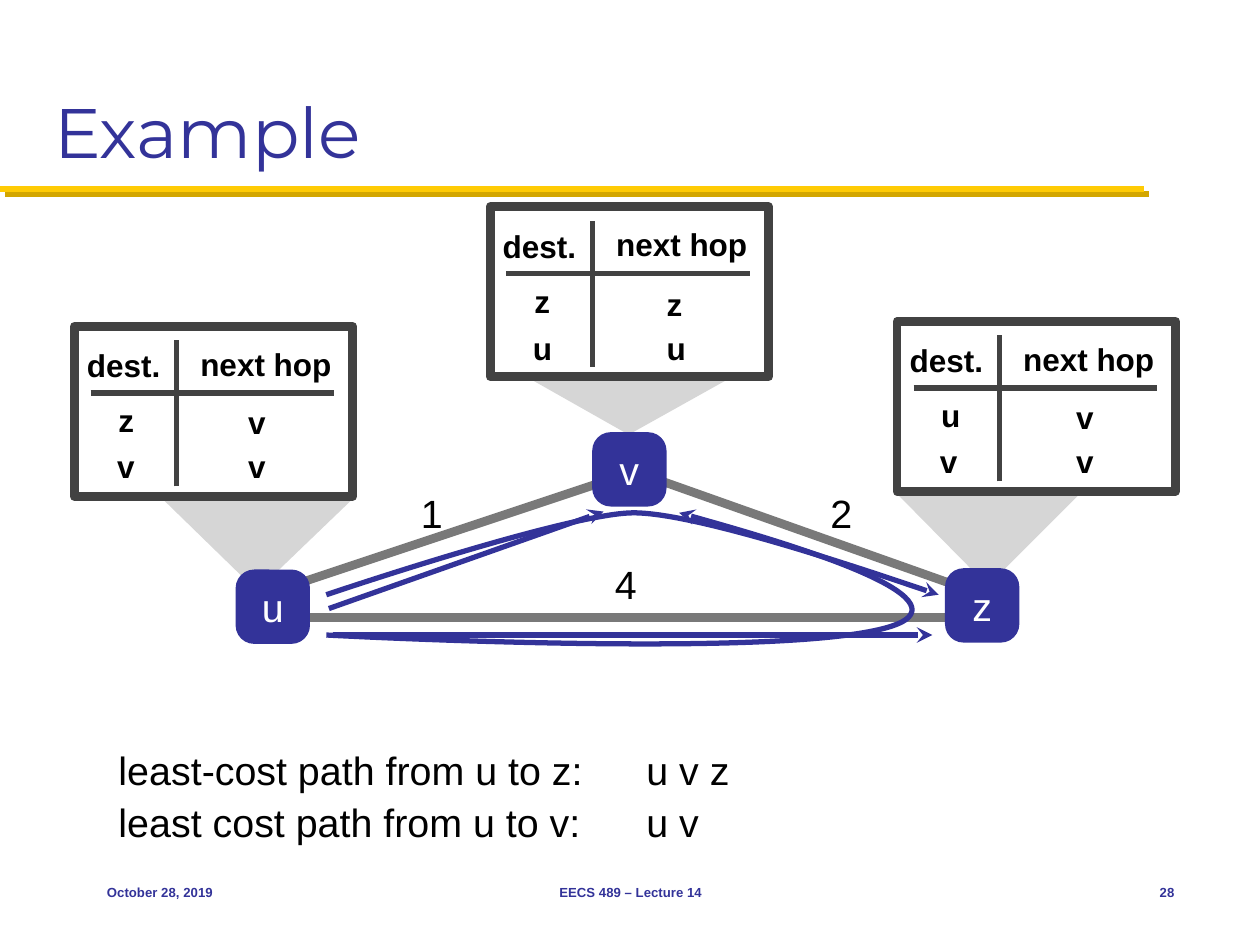
from dataclasses import dataclass
from typing import Any

import pptx
import pptx.dml.color
import pptx.enum.shapes
import pptx.enum.text
import pptx.oxml
import pptx.oxml.ns
import pptx.util

EMU_PER_PX = 9144
INDIGO, BLACK, WHITE = "333399", "000000", "FFFFFF"
CHARCOAL, GRAY, LIGHT_GRAY = "424242", "797979", "D6D6D6"
GOLD, DARK_GOLD = "FFCB05", "D3A600"
ALIGN = pptx.enum.text.PP_ALIGN
ANCHOR = pptx.enum.text.MSO_ANCHOR
SHAPE = pptx.enum.shapes.MSO_SHAPE
Point = tuple[int, int]
Box = tuple[int, int, int, int]


@dataclass
class Router:
    name: str
    left: int
    top: int


@dataclass
class ForwardingTable:
    left: int
    top: int
    rows: tuple[tuple[str, str], tuple[str, str]]
    hop_left: int
    hop_top: int
    pointer_left: int
    pointer_top: int
    pointer_width: int
    pointer_height: int


@dataclass
class Line:
    start: Point
    end: Point


@dataclass
class Curve:
    points: list[Point]
    width: int
    height: int


@dataclass
class Label:
    text: str
    box: Box


@dataclass
class Footer:
    text: str
    box: Box
    align: Any


ROUTERS = [Router("v", 470, 343), Router("u", 187, 452), Router("z", 750, 451)]
TABLES = [
    ForwardingTable(389, 164, (("z", "z"), ("u", "u")), 136, 52, 423, 302, 153, 43),
    ForwardingTable(59, 259, (("z", "v"), ("v", "v")), 134, 50, 128, 395, 153, 74),
    ForwardingTable(712, 255, (("u", "v"), ("v", "v")), 138, 50, 712, 392, 145, 73),
]
LINKS = [
    Line((486, 380), (234, 464)),
    Line((241, 490), (773, 490)),
    Line((520, 380), (774, 470)),
]
ROUTES = [Line((264, 504), (740, 504)), Line((261, 483), (479, 406))]
CURVED_ROUTES = [
    Curve([(259, 472), (259, 472), (451, 407), (503, 407),
           (555, 407), (745, 472), (745, 472)], 486, 65),
    Curve([(259, 504), (259, 504), (684, 527), (721, 490),
           (747, 464), (539, 407), (539, 407)], 465, 104),
]
LABELS = [
    Label("4", (484, 440, 29, 46)),
    Label("1", (330, 384, 29, 46)),
    Label("2", (655, 384, 29, 46)),
    Label("least-cost path from u to z:", (90, 588, 405, 46)),
    Label("u v z", (509, 588, 90, 46)),
    Label("least cost path from u to v:", (90, 629, 405, 46)),
    Label("u v", (509, 629, 59, 46)),
]
FOOTERS = [
    Footer("October 28, 2019", (75, 683, 208, 50), ALIGN.LEFT),
    Footer("EECS 489 – Lecture 14", (342, 683, 317, 50), ALIGN.CENTER),
    Footer("28", (875, 683, 67, 50), ALIGN.RIGHT),
]


def px(length: int) -> pptx.util.Emu:
    return pptx.util.Emu(length * EMU_PER_PX)


def rgb(color: str) -> pptx.dml.color.RGBColor:
    return pptx.dml.color.RGBColor.from_string(color)


def write(shape: Any, text: str, size: float, color: str = BLACK, *, bold: bool = False,
          align: Any = ALIGN.LEFT, font: str = "Arial", anchor: Any = ANCHOR.MIDDLE,
          margins: Point = (4, 4), wrap: bool = True) -> None:
    frame = shape.text_frame
    frame.text = text
    frame.word_wrap = wrap
    frame.auto_size = pptx.enum.text.MSO_AUTO_SIZE.NONE
    frame.vertical_anchor = anchor
    frame.margin_left = frame.margin_right = px(margins[0])
    frame.margin_top = frame.margin_bottom = px(margins[1])
    paragraph = frame.paragraphs[0]
    paragraph.alignment = align
    run_font = paragraph.runs[0].font
    run_font.name, run_font.size, run_font.bold = font, pptx.util.Pt(size), bold
    run_font.color.rgb = rgb(color)


def add_text(shapes: Any, text: str, box: Box, size: float, **style: Any) -> Any:
    shape = shapes.add_textbox(*map(px, box))
    write(shape, text, size, **style)
    return shape


def set_line(shape: Any, color: str, width: float, arrow: bool = False) -> None:
    shape.line.color.rgb = rgb(color)
    shape.line.width = pptx.util.Pt(width)
    if arrow:
        line = shape.element.spPr.find(pptx.oxml.ns.qn("a:ln"))
        line.append(pptx.oxml.parse_xml(
            f'<a:tailEnd {pptx.oxml.ns.nsdecls("a")} type="stealth"/>'))


def add_line(shapes: Any, line: Line, color: str, width: float,
             arrow: bool = False, shadow: str = "") -> None:
    connector = shapes.add_connector(
        pptx.enum.shapes.MSO_CONNECTOR.STRAIGHT, *map(px, line.start + line.end))
    set_line(connector, color, width, arrow)
    connector.element.spPr.append(pptx.oxml.parse_xml(
        f'<a:effectLst {pptx.oxml.ns.nsdecls("a")}>{shadow}</a:effectLst>'))


def add_outline(shapes: Any, points: list[Point], close: bool) -> Any:
    builder = shapes.build_freeform(*points[0], scale=EMU_PER_PX)
    builder.add_line_segments(points[1:], close=close)
    shape = builder.convert_to_shape()
    shape.shadow.inherit = False
    return shape


def add_curve(shapes: Any, curve: Curve) -> None:
    shape = add_outline(shapes, curve.points, close=False)
    path = next(shape.element.iter(pptx.oxml.ns.qn("a:path")))
    segments = path.findall(pptx.oxml.ns.qn("a:lnTo"))
    for first in range(0, len(segments), 3):
        bezier = pptx.oxml.parse_xml(f'<a:cubicBezTo {pptx.oxml.ns.nsdecls("a")}/>')
        for segment in segments[first:first + 3]:
            bezier.append(segment[0])
            path.remove(segment)
        path.append(bezier)
    path.set("w", str(curve.width))
    path.set("h", str(curve.height))
    shape.width, shape.height = px(curve.width), px(curve.height)
    shape.fill.background()
    set_line(shape, INDIGO, 3, arrow=True)


def add_pointer(shapes: Any, table: ForwardingTable) -> None:
    left, top, width = table.pointer_left, table.pointer_top, table.pointer_width
    apex = (left + width // 2, top + table.pointer_height)
    shape = add_outline(shapes, [(left, top), (left + width, top), apex], close=True)
    shape.fill.solid()
    shape.fill.fore_color.rgb = rgb(LIGHT_GRAY)
    shape.line.fill.background()


def add_router(shapes: Any, router: Router) -> None:
    shape = shapes.add_shape(
        SHAPE.ROUNDED_RECTANGLE, *map(px, (router.left, router.top, 59, 59)))
    shape.adjustments[0] = 0.25
    shape.shadow.inherit = False
    shape.fill.solid()
    shape.fill.fore_color.rgb = rgb(INDIGO)
    shape.line.fill.background()
    write(shape, router.name, 22.5, WHITE, align=ALIGN.CENTER, margins=(0, 0))


def add_forwarding_table(shapes: Any, table: ForwardingTable) -> None:
    group = shapes.add_group_shape().shapes
    x, y = table.left, table.top
    frame = group.add_shape(SHAPE.RECTANGLE, *map(px, (x, y, 221, 135)))
    frame.shadow.inherit = False
    frame.fill.background()
    set_line(frame, CHARCOAL, 5)
    add_line(group, Line((x + 13, y + 53), (x + 206, y + 53)), CHARCOAL, 3)
    add_line(group, Line((x + 81, y + 127), (x + 81, y + 11)), CHARCOAL, 3)
    lower_top = table.hop_top + 35
    (upper_dest, upper_hop), (lower_dest, lower_hop) = table.rows
    for text, box in [
        ("dest.", (x + 6, y + 8, 156, 46)),
        ("next hop", (x + 96, y + 7, 123, 46)),
        (upper_dest, (x + 31, y + 49, 49, 51)),
        (upper_hop, (x + table.hop_left, y + table.hop_top, 26, 51)),
        (lower_dest, (x + 30, y + lower_top, 26, 51)),
        (lower_hop, (x + table.hop_left, y + lower_top, 26, 51)),
    ]:
        add_text(group, text, box, 18, bold=True)


def main() -> None:
    presentation = pptx.Presentation()
    presentation.slide_width, presentation.slide_height = px(1000), px(750)
    slide = presentation.slides.add_slide(presentation.slide_layouts[5])
    shapes = slide.shapes
    title = shapes.title
    title.left, title.top, title.width, title.height = map(px, (33, 17, 933, 125))
    write(title, "Example", 40, INDIGO, font="Montserrat",
          anchor=ANCHOR.BOTTOM, margins=(10, 5))
    shadow = (f'<a:outerShdw dist="53340" dir="2700000" algn="ctr" rotWithShape="0">'
              f'<a:srgbClr val="{DARK_GOLD}"/></a:outerShdw>')
    add_line(shapes, Line((0, 150), (908, 150)), GOLD, 3.5, shadow=shadow)
    for table in TABLES:
        add_pointer(shapes, table)
    for link in LINKS:
        add_line(shapes, link, GRAY, 5)
    for router in ROUTERS:
        add_router(shapes, router)
    for label in LABELS:
        box = add_text(shapes, label.text, label.box, 22.5)
        box.text_frame.auto_size = pptx.enum.text.MSO_AUTO_SIZE.SHAPE_TO_FIT_TEXT
    for table in TABLES:
        add_forwarding_table(shapes, table)
    for route in ROUTES:
        add_line(shapes, route, INDIGO, 3, arrow=True)
    for curve in CURVED_ROUTES:
        add_curve(shapes, curve)
    for footer in FOOTERS:
        add_text(shapes, footer.text, footer.box, 7.5, color=INDIGO, bold=True,
                 align=footer.align, margins=(10, 5), wrap=False)
    presentation.save("out.pptx")


if __name__ == "__main__":
    main()
